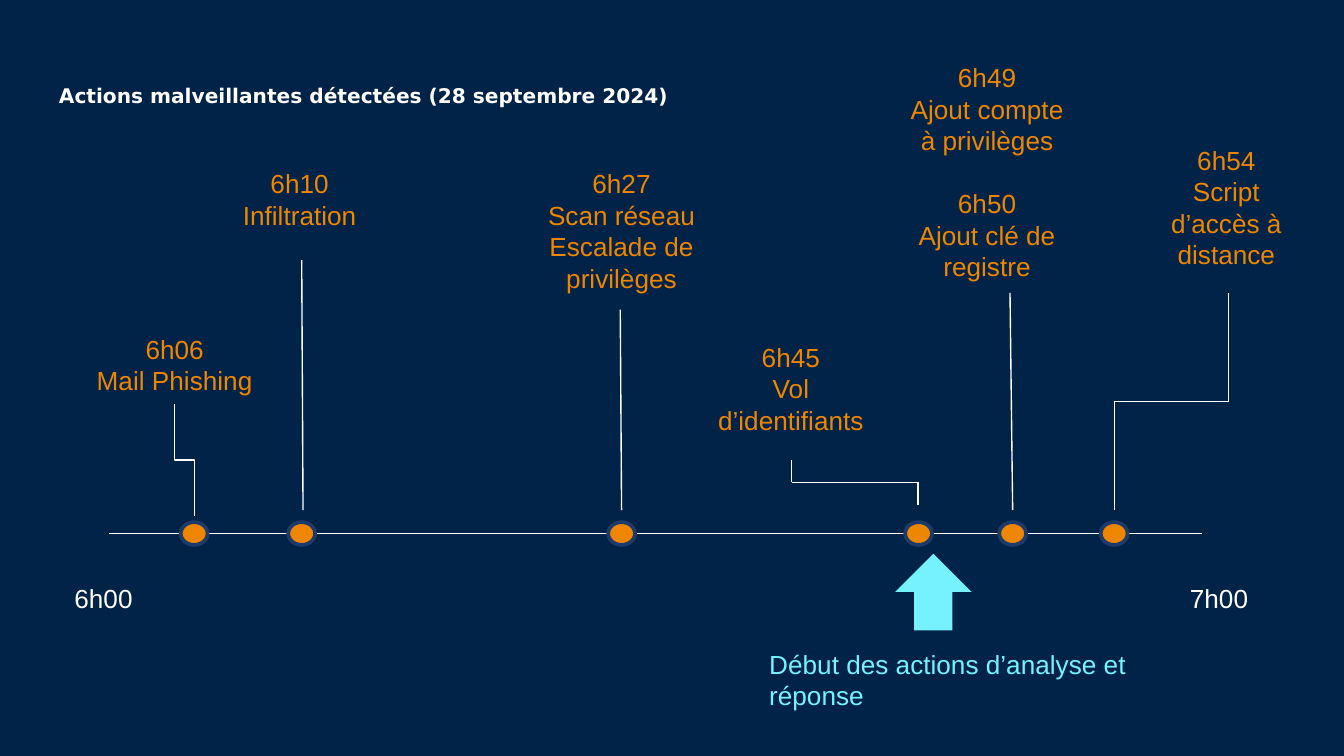
import pptx
import pptx.dml.color
import pptx.enum.shapes
import pptx.enum.text
import pptx.oxml.ns
import pptx.util
from lxml import etree

PX = 4572  # EMU per px, 200 px to the inch
AXIS_Y = 794
LABEL_WIDTH = 274
COLORS = {
    "night": "002347",
    "white": "FFFFFF",
    "orange": "EF8600",
    "navy": "1D3A6B",
    "cyan": "76F2FF",
}
ALIGN = pptx.enum.text.PP_ALIGN
CONNECTOR = pptx.enum.shapes.MSO_CONNECTOR
SHAPE = pptx.enum.shapes.MSO_SHAPE

# Label left, top, height, and paragraphs as lists of lines
EVENTS = [
    (123, 486, 114, [["6h06", "Mail Phishing"]]),
    (309, 240, 114, [["6h10", "Infiltration"]]),
    (788, 240, 208, [["6h27", "Scan réseau", "Escalade de privilèges"]]),
    (1040, 498, 162, [["6h45", "Vol d’identifiants"]]),
    (1332, 82, 350, [["6h49", "Ajout compte à privilèges"],
                     ["6h50"], ["Ajout clé de registre"]]),
    (1688, 205, 208, [["6h54", "Script d’accès à distance"]]),
]
MILESTONES = [289, 449, 925, 1367, 1507, 1658]
# Bottom x, bottom y, top x, top y
ELBOW_LINKS = [(289, 768, 260, 602), (1658, 759, 1828, 436)]
STRAIGHT_LINKS = [
    (451, 759, 449, 387), (925, 759, 923, 461), (1507, 759, 1503, 436),
    # Stepped link of the 6h45 event
    (1366, 718, 1178, 718), (1366, 751, 1366, 718), (1178, 718, 1178, 684),
]


def px(*lengths):
    return [pptx.util.Emu(round(length * PX)) for length in lengths]


def rgb(name):
    return pptx.dml.color.RGBColor.from_string(COLORS[name])


def add_text(slide, box, paragraphs, color, align=ALIGN.LEFT, size=14,
             font="Arial", bold=False):
    frame = slide.shapes.add_textbox(*px(*box)).text_frame
    frame.word_wrap = True
    for index, lines in enumerate(paragraphs):
        paragraph = frame.add_paragraph() if index else frame.paragraphs[0]
        paragraph.alignment = align
        for number, line in enumerate(lines):
            if number:
                paragraph.add_line_break()
            run = paragraph.add_run()
            run.text = line
            run.font.name = font
            run.font.size = pptx.util.Pt(size)
            run.font.bold = bold
            run.font.color.rgb = rgb(color)
    return frame


def add_line(slide, x1, y1, x2, y2, kind=CONNECTOR.STRAIGHT):
    line = slide.shapes.add_connector(kind, *px(x1, y1, x2, y2))
    line.line.color.rgb = rgb("white")
    line.line.width = pptx.util.Pt(0.75)
    etree.SubElement(line._element.spPr, pptx.oxml.ns.qn("a:effectLst"))
    return line


def add_upright_elbow(slide, x1, y1, x2, y2):
    """Draw the elbow lying on its side, then turn it to run upwards."""
    center_x, center_y = (x1 + x2) / 2, (y1 + y2) / 2
    half_length, half_shift = (y1 - y2) / 2, (x1 - x2) / 2
    elbow = add_line(slide, center_x - half_length, center_y + half_shift,
                     center_x + half_length, center_y - half_shift, CONNECTOR.ELBOW)
    elbow._element.spPr.find(pptx.oxml.ns.qn("a:xfrm")).set("rot", str(270 * 60000))


def add_solid(slide, kind, box, fill, outline=None):
    solid = slide.shapes.add_shape(kind, *px(*box))
    solid.shadow.inherit = False
    solid.fill.solid()
    solid.fill.fore_color.rgb = rgb(fill)
    if outline:
        solid.line.color.rgb = rgb(outline)
        solid.line.width = pptx.util.Pt(2)
    else:
        solid.line.fill.background()


def add_title(slide):
    frame = add_text(slide, (68, 98, 1864, 126),
                     [["Actions malveillantes détectées (28 septembre 2024)"]],
                     "white", ALIGN.JUSTIFY, 10.8, "DejaVu Sans", True)
    frame.margin_top, frame.margin_bottom = px(20, 20)
    frame.paragraphs[0].line_spacing = 1.15


def main():
    deck = pptx.Presentation()
    deck.slide_width, deck.slide_height = px(2000, 1125)
    slide = deck.slides.add_slide(deck.slide_layouts[6])
    slide.background.fill.solid()
    slide.background.fill.fore_color.rgb = rgb("night")
    add_title(slide)

    # Time axis with its milestones and end hours
    add_line(slide, 162, AXIS_Y, 1788, AXIS_Y)
    for x in MILESTONES:
        add_solid(slide, SHAPE.OVAL, (x - 20, AXIS_Y - 17, 40, 34), "orange", "navy")
    for left, hour in [(91, "6h00"), (1751, "7h00")]:
        add_text(slide, (left, 857, 130, 68), [[hour]], "white")

    # Events and their links to the axis
    for left, top, height, paragraphs in EVENTS:
        label = add_text(slide, (left, top, LABEL_WIDTH, height), paragraphs,
                         "orange", ALIGN.CENTER)
        for second_hour in label.paragraphs[1:2]:
            second_hour.space_before = pptx.util.Pt(17)
    for link in ELBOW_LINKS:
        add_upright_elbow(slide, *link)
    for link in STRAIGHT_LINKS:
        add_line(slide, *link)

    # Start of the response
    add_text(slide, (1125, 955, 574, 114),
             [["Début des actions d’analyse et réponse"]], "cyan")
    add_solid(slide, SHAPE.UP_ARROW, (1332, 824, 114, 114), "cyan")

    deck.save("out.pptx")


if __name__ == "__main__":
    main()
